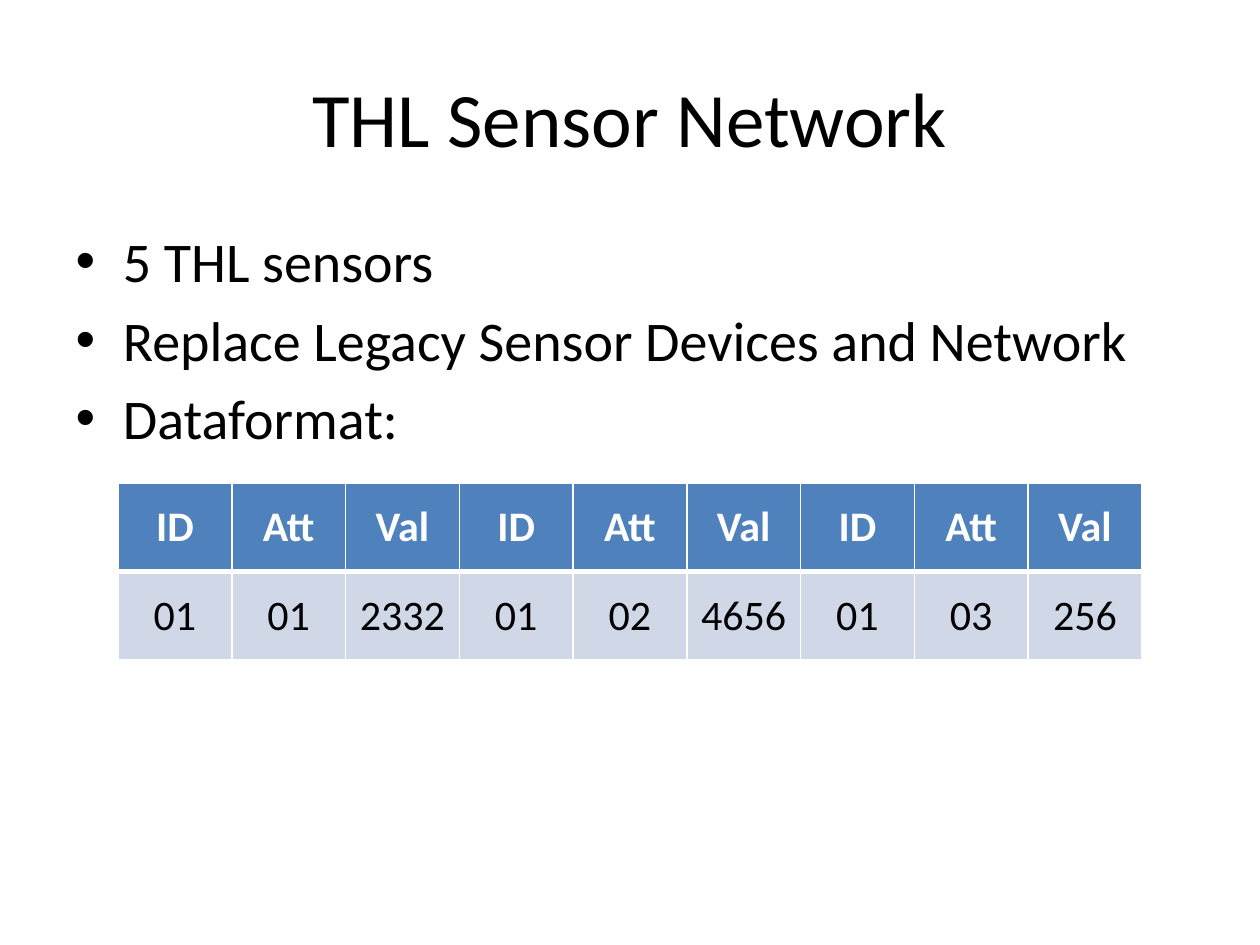
from dataclasses import dataclass

from lxml import etree
from pptx import Presentation
from pptx import util as u
from pptx.dml import color
from pptx.enum import text as t
from pptx.oxml import ns


@dataclass(frozen=True)
class Theme:
    font: str = "Calibri"
    ink: str = "000000"
    paper: str = "FFFFFF"
    header: str = "4F81BD"
    band: str = "D0D8E8"
    title_size: int = 44
    body_size: int = 32
    table_size: int = 24


@dataclass(frozen=True)
class RowStyle:
    fill: str
    ink: str
    bold: bool
    top: int
    bottom: int


@dataclass(frozen=True)
class Reading:
    sensor: str
    attribute: str
    value: str


THEME = Theme()
HEADER = RowStyle(THEME.header, THEME.paper, True, top=1, bottom=3)
BODY = RowStyle(THEME.band, THEME.ink, False, top=3, bottom=1)
BULLETS = ["5 THL sensors", "Replace Legacy Sensor Devices and Network", "Dataformat:"]
READINGS = [
    Reading("01", "01", "2332"),
    Reading("01", "02", "4656"),
    Reading("01", "03", "256"),
]
COLUMN_WIDTH, ROW_HEIGHT = 65, 50.6


def write(para, text: str, *, size: int, ink: str = THEME.ink, bold: bool = False,
          align=None) -> None:
    para.alignment = align
    span = para.add_run()
    span.text = text
    span.font.name = THEME.font
    span.font.size = u.Pt(size)
    span.font.bold = bold
    span.font.color.rgb = color.RGBColor.from_string(ink)


def place(box, left: float, top: float, width: float, height: float) -> None:
    box.left, box.top = u.Pt(left), u.Pt(top)
    box.width, box.height = u.Pt(width), u.Pt(height)


def set_borders(cell, **widths: int) -> None:
    properties = cell._tc.get_or_add_tcPr()
    for index, (side, width) in enumerate(widths.items()):
        line = etree.Element(ns.qn(f"a:ln{side}"), w=str(u.Pt(width)))
        fill = etree.SubElement(line, ns.qn("a:solidFill"))
        etree.SubElement(fill, ns.qn("a:srgbClr"), val=THEME.paper)
        properties.insert(index, line)


def fill_row(row, labels: list[str], style: RowStyle) -> None:
    row.height = u.Pt(ROW_HEIGHT)
    for cell, label in zip(row.cells, labels):
        cell.fill.solid()
        cell.fill.fore_color.rgb = color.RGBColor.from_string(style.fill)
        cell.vertical_anchor = t.MSO_ANCHOR.MIDDLE
        set_borders(cell, L=1, R=1, T=style.top, B=style.bottom)
        write(cell.text_frame.paragraphs[0], label, size=THEME.table_size,
              ink=style.ink, bold=style.bold, align=t.PP_ALIGN.CENTER)


def add_format_table(page) -> None:
    headings = ["ID", "Att", "Val"] * len(READINGS)
    values = [label for item in READINGS
              for label in (item.sensor, item.attribute, item.value)]
    table = page.shapes.add_table(
        2, len(headings), u.Pt(67.5), u.Pt(276),
        u.Pt(COLUMN_WIDTH * len(headings)), u.Pt(2 * ROW_HEIGHT)).table
    for column in table.columns:
        column.width = u.Pt(COLUMN_WIDTH)
    fill_row(table.rows[0], headings, HEADER)
    fill_row(table.rows[1], values, BODY)


def build() -> None:
    deck = Presentation()
    deck.slide_width, deck.slide_height = u.Pt(720), u.Pt(540)
    page = deck.slides.add_slide(deck.slide_layouts[1])
    title, body = page.placeholders

    place(title, 36, 21.6, 648, 90)
    write(title.text_frame.paragraphs[0], "THL Sensor Network",
          size=THEME.title_size, align=t.PP_ALIGN.CENTER)

    place(body, 36, 126, 648, 356.4)
    frame = body.text_frame
    for index, bullet in enumerate(BULLETS):
        para = frame.add_paragraph() if index else frame.paragraphs[0]
        write(para, bullet, size=THEME.body_size)

    add_format_table(page)
    deck.save("out.pptx")


build()
